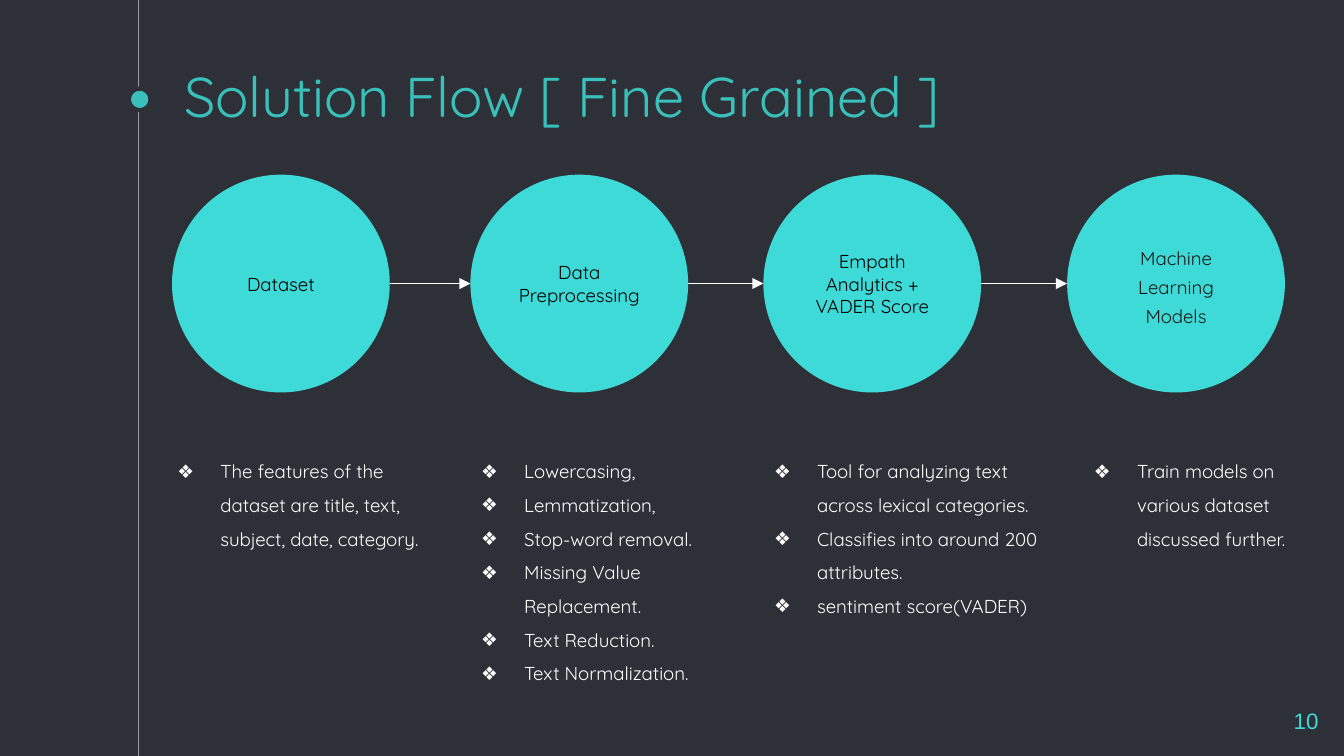
"""Build the fine-grained solution flow slide."""
import pptx
import pptx.dml.color
import pptx.enum.shapes
import pptx.enum.text
import pptx.oxml.ns
import pptx.util
from lxml import etree

Inches = pptx.util.Inches
Pt = pptx.util.Pt
ALIGN = pptx.enum.text.PP_ALIGN
ANCHOR = pptx.enum.text.MSO_ANCHOR
SHAPE = pptx.enum.shapes.MSO_SHAPE

WIDTH = 10
HEIGHT = WIDTH * 9 / 16
STEPS = [
    (1.28, "Dataset"),
    (3.5, "Data Preprocessing"),
    (5.68, "Empath Analytics + VADER Score"),
    (7.94, "Machine Learning Models"),
]
NOTES = [
    (1.14, 2, 1.27, ["The features of the dataset are title, text, subject, date, category."]),
    (3.4, 1.82, 2.01, ["Lowercasing,", "Lemmatization,", "Stop-word removal.",
                       "Missing Value Replacement.", "Text Reduction.",
                       "Text Normalization."]),
    (5.58, 2.14, 1.94, ["Tool for analyzing text across lexical categories.",
                        "Classifies into around 200 attributes.",
                        "sentiment score(VADER)"]),
    (7.96, 1.62, 0.79, ["Train models on various dataset discussed further."]),
]
DIAMETER, CIRCLE_TOP, NOTES_TOP = 1.62, 1.3, 3.34


def rgb(value):
    return pptx.dml.color.RGBColor.from_string(value)


def add_xml(parent, tag, **attrs):
    return etree.SubElement(parent, pptx.oxml.ns.qn(tag), **attrs)


class Deck:
    FONT = "Quicksand"
    DARK, TEAL, AQUA, WHITE, GRAY = "2E3037", "39C0BA", "3EDAD8", "FFFFFF", "999FA9"

    def __init__(self):
        self.prs = pptx.Presentation()
        self.prs.slide_width, self.prs.slide_height = Inches(WIDTH), Inches(HEIGHT)
        self.s = self.prs.slides.add_slide(self.prs.slide_layouts[5])
        fill = self.s.background.fill
        fill.solid()
        fill.fore_color.rgb = rgb(self.DARK)

    def frame(self, sp, anchor, inset=0.1):
        tf = sp.text_frame
        tf.word_wrap = True
        tf.auto_size = pptx.enum.text.MSO_AUTO_SIZE.NONE
        tf.vertical_anchor = anchor
        tf.margin_left = tf.margin_right = Inches(inset)
        tf.margin_top = tf.margin_bottom = Inches(inset)
        return tf

    def run(self, p, text, size, color, align=ALIGN.LEFT, font=FONT):
        p.alignment = align
        r = p.add_run()
        r.text = text
        r.font.size, r.font.name = Pt(size), font
        r.font.color.rgb = rgb(color)

    def title(self, text):
        sp = self.s.shapes.title
        sp.left, sp.top = Inches(1.27), Inches(0.46)
        sp.width, sp.height = Inches(7.5), Inches(0.6)
        tf = self.frame(sp, ANCHOR.BOTTOM)
        self.run(tf.paragraphs[0], text, 30, self.TEAL)

    def shape(self, kind, x, y, w, h, fill):
        sp = self.s.shapes.add_shape(kind, Inches(x), Inches(y), Inches(w), Inches(h))
        sp.shadow.inherit = False
        sp.fill.solid()
        sp.fill.fore_color.rgb = rgb(fill)
        sp.line.fill.background()
        return sp

    def line(self, x1, y1, x2, y2, color, arrow=False):
        cxn = self.s.shapes.add_connector(
            pptx.enum.shapes.MSO_CONNECTOR.STRAIGHT,
            Inches(x1), Inches(y1), Inches(x2), Inches(y2))
        cxn.line.color.rgb = rgb(color)
        cxn.line.width = Pt(0.75)
        if arrow:
            add_xml(cxn.line._get_or_add_ln(), "a:tailEnd", type="triangle")
        add_xml(cxn._element.spPr, "a:effectLst")

    def marker(self, x, y, size):
        sp = self.shape(SHAPE.OVAL, x, y, size, size, self.TEAL)
        sp.line.color.rgb = rgb(self.DARK)
        sp.line.width = Pt(2.25)

    def circle(self, x, text, color="000000", spacing=1.0):
        sp = self.shape(SHAPE.OVAL, x, CIRCLE_TOP, DIAMETER, DIAMETER, self.AQUA)
        p = self.frame(sp, ANCHOR.MIDDLE).paragraphs[0]
        p.line_spacing = spacing
        self.run(p, text, 10, color, ALIGN.CENTER)

    def bullets(self, x, w, h, items):
        sp = self.shape(SHAPE.RECTANGLE, x, NOTES_TOP, w, h, self.DARK)
        tf = self.frame(sp, ANCHOR.TOP, 0)
        for i, text in enumerate(items):
            p = tf.add_paragraph() if i else tf.paragraphs[0]
            p.line_spacing = 1.5
            pPr = p._p.get_or_add_pPr()
            pPr.set("marL", str(Inches(0.5)))
            pPr.set("indent", str(Inches(-0.32)))
            add_xml(add_xml(pPr, "a:buClr"), "a:srgbClr", val=self.WHITE)
            add_xml(pPr, "a:buFont", typeface=self.FONT)
            add_xml(pPr, "a:buChar", char="❖")
            self.run(p, text, 10, self.WHITE)

    def page_number(self, text):
        sp = self.s.shapes.add_textbox(Inches(9.36), Inches(5.15), Inches(0.55), Inches(0.42))
        tf = self.frame(sp, ANCHOR.MIDDLE)
        self.run(tf.paragraphs[0], text, 12, self.AQUA, ALIGN.RIGHT, "Arial")


def main():
    deck = Deck()
    deck.line(1.03, 0, 1.03, HEIGHT, deck.GRAY)
    deck.marker(0.96, 0.66, 0.16)
    deck.title("Solution Flow [ Fine Grained ]")
    for x, text in STEPS[:-1]:
        deck.circle(x, text)
    deck.circle(*STEPS[-1], color="191919", spacing=1.29)
    for note in NOTES:
        deck.bullets(*note)
    deck.page_number("10")
    middle = CIRCLE_TOP + DIAMETER / 2
    for (x, _), (next_x, _) in zip(STEPS, STEPS[1:]):
        deck.line(x + DIAMETER, middle, next_x, middle, deck.WHITE, arrow=True)
    deck.prs.save("out.pptx")


if __name__ == "__main__":
    main()
